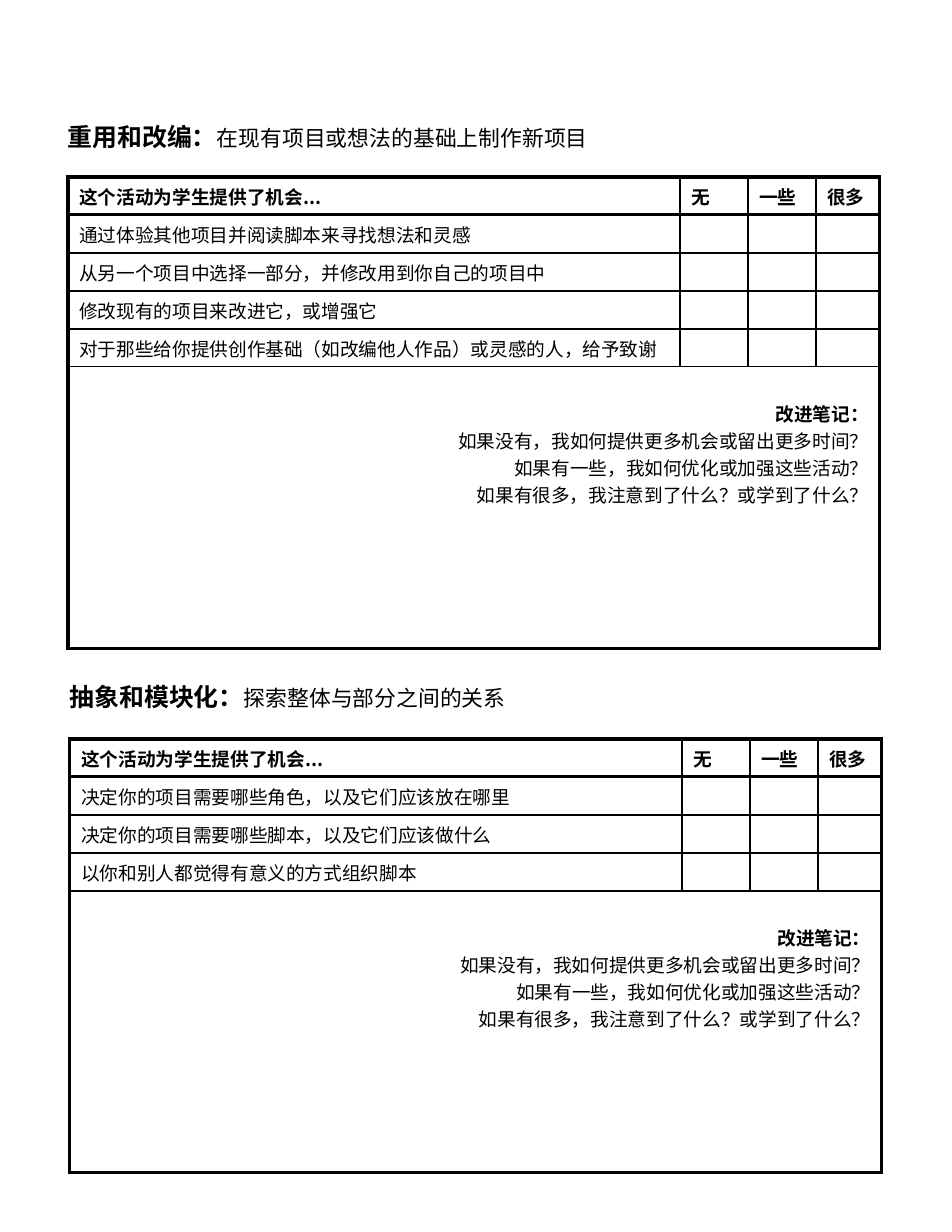
from lxml import etree
from pptx import Presentation
from pptx.dml.color import RGBColor
from pptx.enum.text import PP_ALIGN
from pptx.oxml.ns import qn
from pptx.util import Emu, Pt

RIGHT = PP_ALIGN.RIGHT
PX = 914400 // 112
FONT = "Noto Sans CJK SC"
COLORS = {"ink": "000000", "paper": "FFFFFF"}
THICK, THIN = Pt(2.25), Pt(1)

COLUMNS = [612, 68, 68, 64]
ROW_H, NOTES_H = 38, 282
HEADERS = ["这个活动为学生提供了机会...", "无", "一些", "很多"]
NOTES = [
    "改进笔记：",
    "如果没有，我如何提供更多机会或留出更多时间？",
    "如果有一些，我如何优化或加强这些活动？",
    "如果有很多，我注意到了什么？或学到了什么？",
]
# left, title top, title width, table top, title, subtitle, activities
SECTIONS = [
    (68, 122, 815, 177, "重用和改编：", "在现有项目或想法的基础上制作新项目", [
        "通过体验其他项目并阅读脚本来寻找想法和灵感",
        "从另一个项目中选择一部分，并修改用到你自己的项目中",
        "修改现有的项目来改进它，或增强它",
        "对于那些给你提供创作基础（如改编他人作品）或灵感的人，给予致谢",
    ]),
    (70, 682, 866, 739, "抽象和模块化：", "探索整体与部分之间的关系", [
        "决定你的项目需要哪些角色，以及它们应该放在哪里",
        "决定你的项目需要哪些脚本，以及它们应该做什么",
        "以你和别人都觉得有意义的方式组织脚本",
    ]),
]


def add_run(p, text, size, bold):
    r = p.add_run()
    r.text = text
    r.font.size = Pt(size)
    r.font.bold = bold
    r.font.name = FONT
    r.font.color.rgb = RGBColor.from_string(COLORS["ink"])
    etree.SubElement(r.font._element, qn("a:ea"), typeface=FONT)


def set_borders(cell, **widths):
    tc_pr = cell._tc.get_or_add_tcPr()
    for side, width in widths.items():
        ln = etree.SubElement(tc_pr, qn("a:ln" + side), w=str(width))
        fill = etree.SubElement(ln, qn("a:solidFill"))
        etree.SubElement(fill, qn("a:srgbClr"), val=COLORS["ink"])


prs = Presentation()
prs.slide_width, prs.slide_height = Emu(952 * PX), Emu(1232 * PX)
s = prs.slides.add_slide(prs.slide_layouts[6])

for left, title_y, title_w, table_y, title, subtitle, activities in SECTIONS:
    # Section heading
    sp = s.shapes.add_textbox(left * PX, title_y * PX, title_w * PX, 30 * PX)
    tf = sp.text_frame
    tf.word_wrap = True
    tf.margin_left = tf.margin_right = tf.margin_top = tf.margin_bottom = 0
    p = tf.paragraphs[0]
    add_run(p, title, 16, True)
    add_run(p, subtitle, 14, False)

    # Checklist table
    rows = [HEADERS] + [[a, "", "", ""] for a in activities] + [[""] * 4]
    last = len(rows) - 1
    height = ROW_H * last + NOTES_H
    table = s.shapes.add_table(len(rows), 4, left * PX, table_y * PX,
                               sum(COLUMNS) * PX, height * PX).table
    table.horz_banding = False
    for column, width in zip(table.columns, COLUMNS):
        column.width = Emu(width * PX)
    for i, texts in enumerate(rows):
        table.rows[i].height = Emu((NOTES_H if i == last else ROW_H) * PX)
        for j, text in enumerate(texts):
            cell = table.cell(i, j)
            set_borders(cell,
                        L=THICK if j == 0 else THIN,
                        R=THICK if j == 3 or i == last else THIN,
                        T=THICK if i < 2 else THIN,
                        B=THICK if i in (0, last) else THIN)
            cell.fill.solid()
            cell.fill.fore_color.rgb = RGBColor.from_string(COLORS["paper"])
            p = cell.text_frame.paragraphs[0]
            if text:
                add_run(p, text, 12, i == 0)
            elif i < last:
                # Small type keeps the empty tick boxes at row height
                etree.SubElement(p._p, qn("a:endParaRPr"), sz="1200")

    # Notes area across the full width
    notes = table.cell(last, 0)
    notes.merge(table.cell(last, 3))
    notes.margin_top = Emu(33 * PX)
    tf = notes.text_frame
    for k, line in enumerate(NOTES):
        p = tf.add_paragraph() if k else tf.paragraphs[0]
        p.alignment = RIGHT
        add_run(p, line, 12, k == 0)

prs.save("out.pptx")
